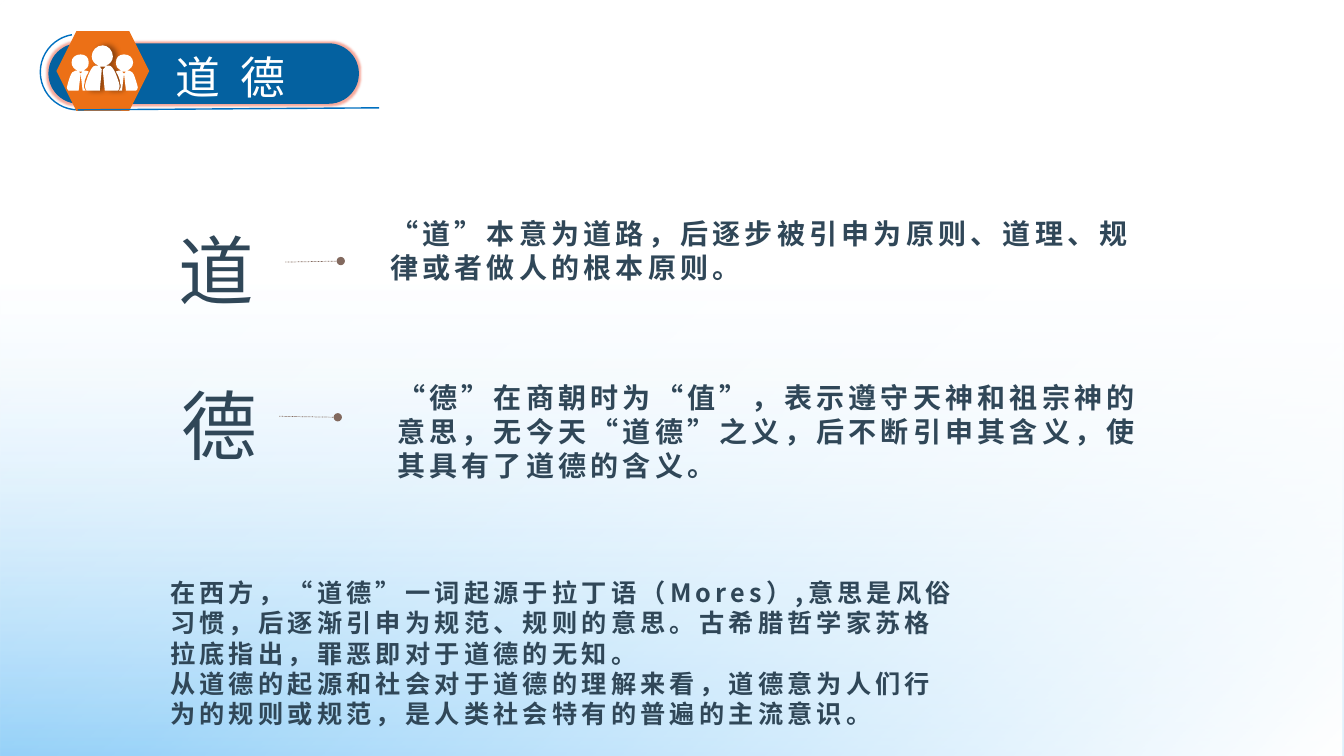
from dataclasses import dataclass

import pptx
import pptx.dml.color
import pptx.enum.dml
import pptx.enum.lang
import pptx.enum.shapes
import pptx.enum.text
import pptx.oxml
import pptx.oxml.ns
import pptx.util

PX = 9144  # EMU; 100 px to the inch
SHAPE = pptx.enum.shapes.MSO_SHAPE
A_NS = pptx.oxml.ns.nsdecls("a")


@dataclass(frozen=True)
class Theme:
    white: str = "FFFFFF"
    sky: str = "67BDF6"
    outline: str = "0070C0"
    banner: str = "0461A0"
    glow: str = "F0705A"
    badge: str = "EC7016"
    ink: str = "304758"
    pointer: str = "82695E"
    shadow: str = "000000"
    font: str = "Noto Sans CJK SC"
    title_font: str = "Times New Roman"
    title: int = 32
    character: int = 54
    meaning: int = 20
    summary: int = 18


THEME = Theme()


@dataclass(frozen=True)
class Box:
    left: int
    top: int
    width: int
    height: int

    def emu(self) -> list[int]:
        return [v * PX for v in (self.left, self.top, self.width, self.height)]


@dataclass(frozen=True)
class Wash:
    """Full-slide gradient; each stop is position %, colour, opacity %."""
    angle: int
    stops: tuple[tuple[int, str, int], ...]


@dataclass(frozen=True)
class Label:
    box: Box
    paragraphs: tuple[str, ...]
    size: int
    color: str = THEME.ink
    font: str = THEME.font
    bold: bool = False
    vertical: bool = False
    spacing: float = 3
    inset: int = 10


@dataclass(frozen=True)
class Line:
    start: tuple[int, int]
    end: tuple[int, int]
    color: str
    width: float
    pointer: bool = False


WASHES = (
    Wash(90, ((0, THEME.white, 0), (37, THEME.white, 25), (100, THEME.sky, 88))),
    Wash(45, ((0, THEME.white, 0), (42, THEME.white, 25), (100, THEME.white, 100))),
)
LINES = (
    Line((77, 109), (376, 107), THEME.outline, 1),
    Line((283, 260), (338, 259), THEME.pointer, 0.5, True),
    Line((277, 413), (335, 414), THEME.pointer, 0.5, True),
)
LABELS = (
    Label(Box(144, 44, 222, 64), ("道 德",), THEME.title, THEME.white,
          THEME.title_font, spacing=3.6, inset=30),
    Label(Box(151, 221, 111, 78), ("道",), THEME.character, vertical=True),
    Label(Box(377, 210, 763, 77),
          ("“道”本意为道路，后逐步被引申为原则、道理、规律或者做人的根本原则。",),
          THEME.meaning, bold=True),
    Label(Box(154, 375, 111, 78), ("德",), THEME.character, vertical=True),
    Label(Box(384, 373, 763, 111),
          ("“德”在商朝时为“值”，表示遵守天神和祖宗神的意思，无今天“道德”之义，"
           "后不断引申其含义，使其具有了道德的含义。",),
          THEME.meaning, bold=True),
    Label(Box(159, 568, 800, 161),
          ("在西方，“道德”一词起源于拉丁语（Mores）,意思是风俗习惯，后逐渐引申为规范、"
           "规则的意思。古希腊哲学家苏格拉底指出，罪恶即对于道德的无知。",
           "从道德的起源和社会对于道德的理解来看，道德意为人们行为的规则或规范，"
           "是人类社会特有的普遍的主流意识。"),
          THEME.summary, bold=True),
)

# Outlines: two numbers are a line's end, six are a cubic curve.
Outline = tuple[tuple[int, ...], ...]
LEADER: Outline = (
    (118, 82), (117, 79, 113, 65, 108, 65), (105, 65),
    (109, 64, 112, 60, 112, 56), (112, 50, 107, 45, 102, 45),
    (96, 45, 91, 50, 91, 56), (91, 60, 94, 64, 98, 65), (95, 65),
    (90, 65, 86, 79, 85, 82), (83, 87, 86, 90, 86, 90), (99, 90), (101, 69),
    (99, 66), (105, 66), (102, 69), (104, 90), (117, 90),
    (117, 90, 120, 87, 118, 82),
)
FOLLOWER: Outline = (
    (84, 82), (84, 80), (85, 77, 86, 74, 88, 71), (87, 70, 86, 70, 85, 70),
    (83, 70), (86, 69, 88, 66, 88, 62), (88, 57, 85, 54, 80, 54),
    (75, 54, 71, 57, 71, 62), (71, 66, 74, 69, 77, 70), (75, 70),
    (70, 70, 68, 81, 67, 84), (65, 88, 68, 90, 68, 90), (78, 90), (80, 73),
    (78, 71), (82, 71), (80, 73), (82, 90), (85, 90), (84, 89, 82, 86, 84, 82),
)
ICON_AXIS_DOUBLED = 203
MIRRORED: Outline = tuple(
    tuple(ICON_AXIS_DOUBLED - v if i % 2 == 0 else v for i, v in enumerate(step))
    for step in FOLLOWER)


def rgb(color: str) -> pptx.dml.color.RGBColor:
    return pptx.dml.color.RGBColor.from_string(color)


def fill_shape(sp, color: str) -> None:
    sp.shadow.inherit = False
    sp.line.fill.background()
    sp.fill.solid()
    sp.fill.fore_color.rgb = rgb(color)


def add_effect(sp, tag: str, attributes: str, color: str, opacity: int) -> None:
    effects = sp._element.spPr.find(pptx.oxml.ns.qn("a:effectLst"))
    effects.append(pptx.oxml.parse_xml(
        f'<a:{tag} {A_NS} {attributes}><a:srgbClr val="{color}">'
        f'<a:alpha val="{opacity * 1000}"/></a:srgbClr></a:{tag}>'))


def add_wash(s, wash: Wash, box: Box) -> None:
    sp = s.shapes.add_shape(SHAPE.RECTANGLE, *box.emu())
    fill_shape(sp, THEME.white)
    stops = "".join(
        f'<a:gs pos="{pos * 1000}"><a:srgbClr val="{color}">'
        f'<a:alpha val="{opacity * 1000}"/></a:srgbClr></a:gs>'
        for pos, color, opacity in wash.stops)
    spPr = sp._element.spPr
    spPr.replace(spPr.find(pptx.oxml.ns.qn("a:solidFill")), pptx.oxml.parse_xml(
        f'<a:gradFill {A_NS}><a:gsLst>{stops}</a:gsLst>'
        f'<a:lin ang="{wash.angle * 60000}" scaled="0"/></a:gradFill>'))


def add_line(s, line: Line) -> None:
    cx = s.shapes.add_connector(pptx.enum.shapes.MSO_CONNECTOR.STRAIGHT,
                                *(v * PX for v in line.start + line.end))
    cx.line.color.rgb = rgb(line.color)
    cx.line.width = pptx.util.Pt(line.width)
    if line.pointer:
        cx.line.dash_style = pptx.enum.dml.MSO_LINE.ROUND_DOT
        cx.line._get_or_add_ln().append(
            pptx.oxml.parse_xml(f'<a:tailEnd {A_NS} type="oval"/>'))
    cx._element.spPr.append(pptx.oxml.parse_xml(f"<a:effectLst {A_NS}/>"))


def add_label(s, label: Label) -> None:
    sp = s.shapes.add_textbox(*label.box.emu())
    tf = sp.text_frame
    tf.word_wrap = True
    tf.auto_size = pptx.enum.text.MSO_AUTO_SIZE.SHAPE_TO_FIT_TEXT
    tf.margin_left = label.inset * PX
    if label.vertical:
        tf._txBody.bodyPr.set("vert", "eaVert")
        tf.margin_left, tf.margin_right = 15 * PX, 5 * PX
    for i, text in enumerate(label.paragraphs):
        p = tf.add_paragraph() if i else tf.paragraphs[0]
        p.line_spacing = pptx.util.Pt(label.size * 1.2)
        r = p.add_run()
        r.text = text
        r.font.size = pptx.util.Pt(label.size)
        r.font.bold = label.bold
        r.font.color.rgb = rgb(label.color)
        r.font.name = label.font
        r.font.language_id = pptx.enum.lang.MSO_LANGUAGE_ID.SIMPLIFIED_CHINESE
        rPr = r._r.get_or_add_rPr()
        rPr.set("spc", str(round(label.spacing * 100)))
        rPr.append(pptx.oxml.parse_xml(f'<a:ea {A_NS} typeface="{THEME.font}"/>'))


def add_person(s, outline: Outline):
    """Draw the outline's end points, then bend its curved segments."""
    ends = [step[-2:] for step in outline]
    builder = s.shapes.build_freeform(*ends[0], scale=PX)
    builder.add_line_segments(ends[1:], close=True)
    sp = builder.convert_to_shape()
    fill_shape(sp, THEME.white)
    left, top = (min(axis) for axis in zip(*ends))
    segments = list(sp._element.iter(pptx.oxml.ns.qn("a:lnTo")))
    for segment, step in zip(segments, outline[1:]):
        if len(step) == 6:
            points = "".join(f'<a:pt x="{x - left}" y="{y - top}"/>'
                             for x, y in zip(step[::2], step[1::2]))
            segment.getparent().replace(segment, pptx.oxml.parse_xml(
                f"<a:cubicBezTo {A_NS}>{points}</a:cubicBezTo>"))
    return sp


def add_banner(s) -> None:
    arc = s.shapes.add_shape(SHAPE.ARC, *Box(40, 34, 75, 75).emu())
    arc.shadow.inherit = False
    arc.fill.background()
    arc.line.color.rgb = rgb(THEME.outline)
    arc.line.width = pptx.util.Pt(1)
    arc.adjustments[0], arc.adjustments[1] = 53.91, 156.32
    pill = s.shapes.add_shape(SHAPE.ROUNDED_RECTANGLE, *Box(48, 43, 308, 60).emu())
    pill.adjustments[0] = 0.5
    fill_shape(pill, THEME.banner)
    add_effect(pill, "glow", f'rad="{4 * PX}"', THEME.glow, 60)
    fill_shape(s.shapes.add_shape(SHAPE.HEXAGON, *Box(56, 31, 92, 79).emu()), THEME.badge)
    leader = add_person(s, LEADER)
    add_effect(leader, "outerShdw", 'blurRad="50800" dist="38100" dir="0"', THEME.shadow, 40)
    for outline in (FOLLOWER, MIRRORED):
        add_person(s, outline)


def main() -> None:
    prs = pptx.Presentation()
    slide_box = Box(0, 0, 1333, 750)
    prs.slide_width, prs.slide_height = slide_box.emu()[2:]
    s = prs.slides.add_slide(prs.slide_layouts[6])
    for wash in WASHES:
        add_wash(s, wash, slide_box)
    add_banner(s)
    for line in LINES:
        add_line(s, line)
    for label in LABELS:
        add_label(s, label)
    prs.save("out.pptx")


if __name__ == "__main__":
    main()
